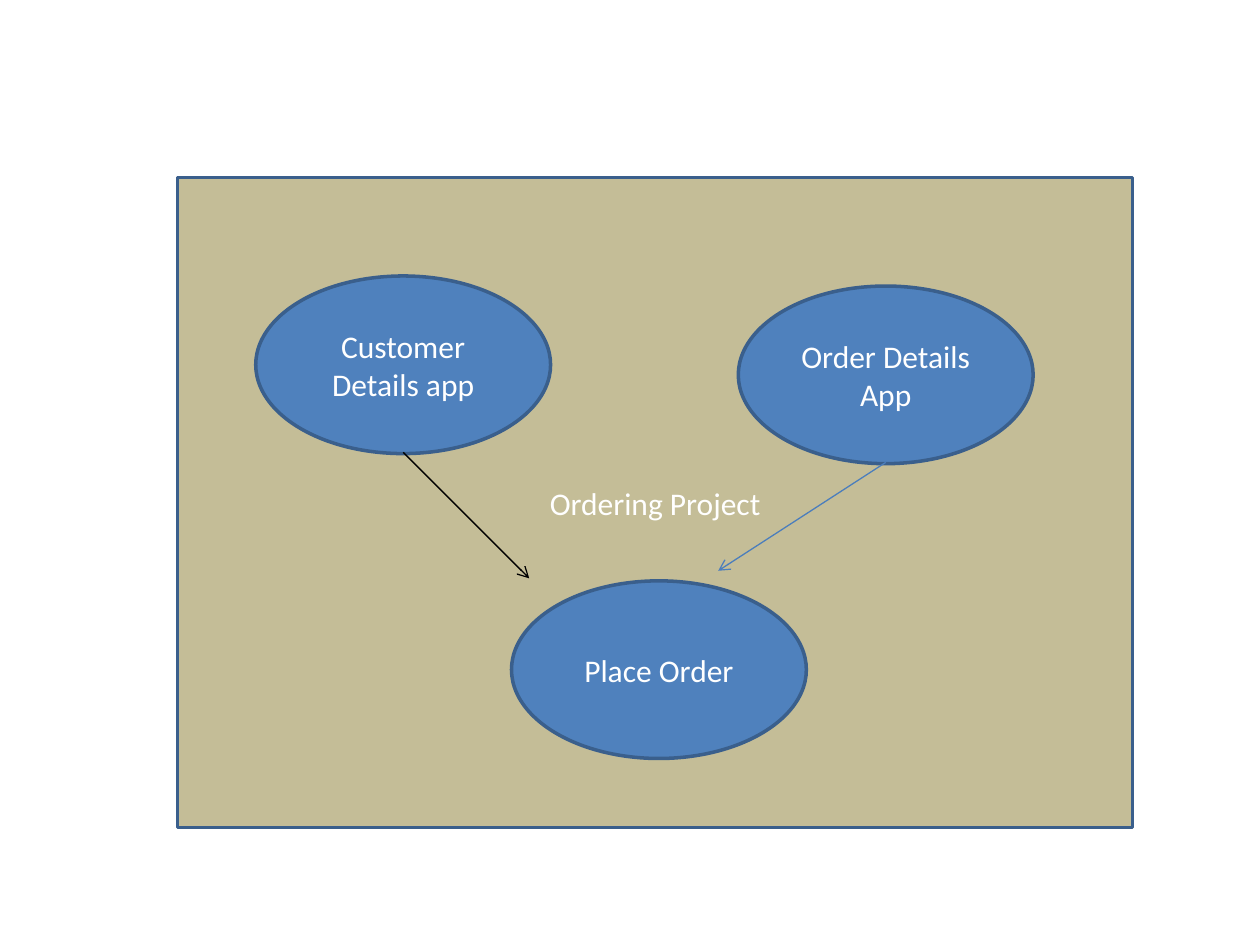
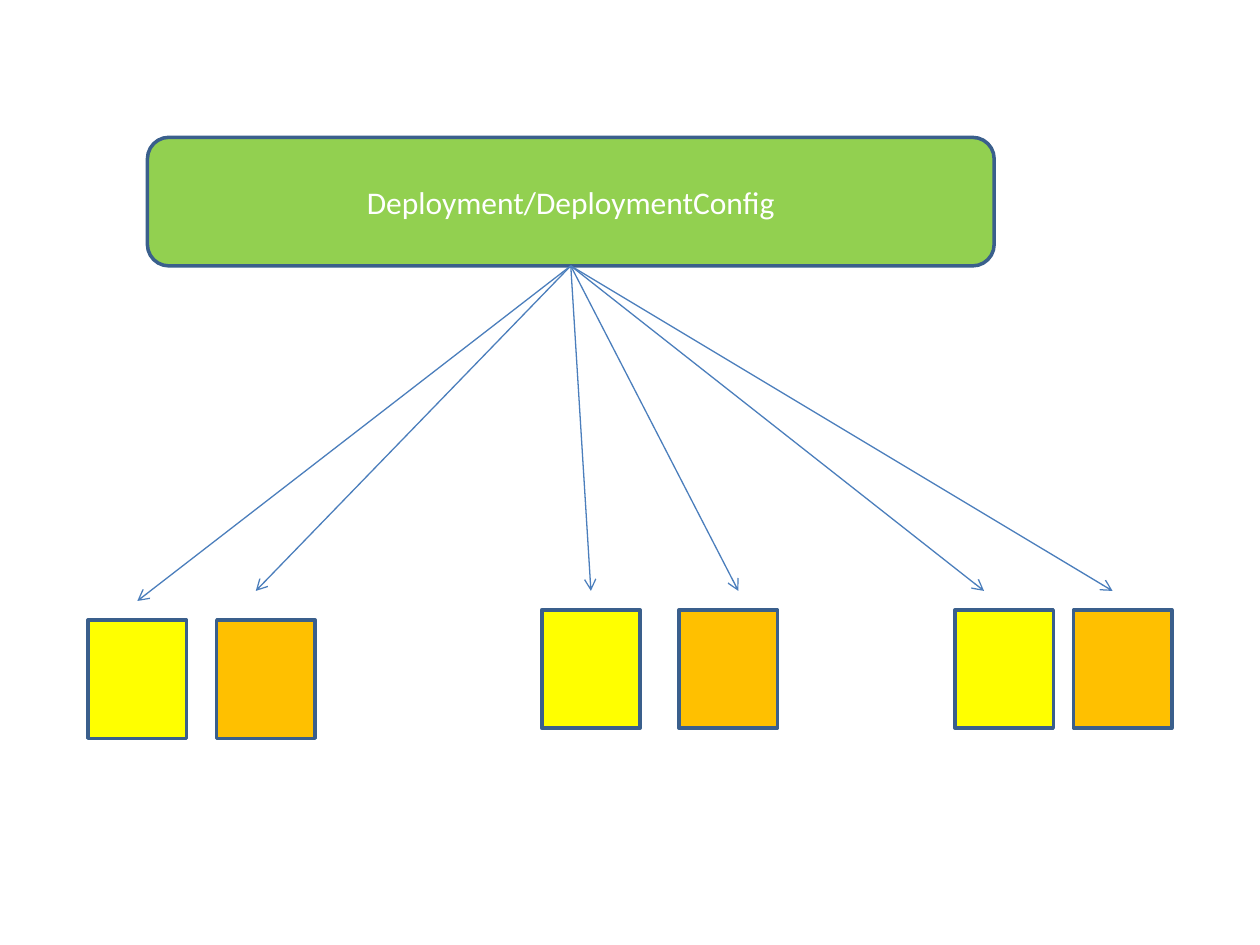
from lxml.etree import SubElement
from pptx import Presentation
from pptx.dml.color import RGBColor
from pptx.enum.shapes import MSO_CONNECTOR as Connector, MSO_SHAPE as Shape
from pptx.enum.text import MSO_ANCHOR as Anchor, PP_ALIGN as Align
from pptx.oxml.ns import qn
from pptx.util import Inches, Pt

COLORS = {
    "outline": "3A5F8C",
    "arrow": "4B7EBC",
    "black": "000000",
    "white": "FFFFFF",
    "project": "C4BD97",
    "app": "4F81BD",
    "deployment": "92D050",
    "yellow": "FFFF00",
    "orange": "FFC000",
}
FONT = "Calibri"
APP_SIZE = (2.34, 1.41)
POD_SIZE = (0.78, 0.94)


def color(name):
    return RGBColor.from_string(COLORS[name])


def write_text(box, text, size=18, font_color="white", align=Align.CENTER):
    frame = box.text_frame
    frame.word_wrap = True
    frame.vertical_anchor = Anchor.MIDDLE
    para = frame.paragraphs[0]
    para.alignment = align
    span = para.add_run()
    span.text = text
    span.font.name = FONT
    span.font.size = Pt(size)
    span.font.color.rgb = color(font_color)


def add_box(page, kind, position, size, fill, text=None):
    box = page.shapes.add_shape(kind, *map(Inches, position + size))
    box.shadow.inherit = False
    box.fill.solid()
    box.fill.fore_color.rgb = color(fill)
    box.line.color.rgb = color("outline")
    box.line.width = Pt(2)
    if text:
        write_text(box, text)
    return box


def add_arrow(page, start, end, line_color="arrow", source=None):
    arrow = page.shapes.add_connector(Connector.STRAIGHT, *map(Inches, start + end))
    if source is not None:
        arrow.begin_connect(source, 2)
    arrow.line.color.rgb = color(line_color)
    arrow.line.width = Pt(0.75)
    SubElement(arrow.line._get_or_add_ln(), qn("a:tailEnd"), type="arrow")
    SubElement(arrow._element.spPr, qn("a:effectLst"))


def build_project_page(page):
    add_box(page, Shape.RECTANGLE, (1.41, 1.41), (7.58, 5.16), "project", "Ordering Project")
    apps = [
        ("Customer Details app", (2.03, 2.19)),
        ("Order Details App", (5.86, 2.27)),
        ("Place Order", (4.06, 4.61)),
    ]
    for name, position in apps:
        add_box(page, Shape.OVAL, position, APP_SIZE, "app", name)
    add_arrow(page, (3.2, 3.59), (4.2, 4.59), "black")
    add_arrow(page, (7.03, 3.67), (5.7, 4.53))


def build_deployment_page(page):
    deployment = add_box(page, Shape.ROUNDED_RECTANGLE, (1.17, 1.09), (6.72, 1.02),
                         "deployment", "Deployment/DeploymentConfig")
    pods = [
        ("yellow", (0.7, 4.92), (1.09, 4.77)),
        ("yellow", (4.3, 4.84), (4.69, 4.69)),
        ("yellow", (7.58, 4.84), (7.81, 4.69)),
        ("orange", (1.72, 4.92), (2.03, 4.69)),
        ("orange", (5.39, 4.84), (5.86, 4.69)),
        ("orange", (8.52, 4.84), (8.83, 4.69)),
    ]
    for fill, position, _ in pods:
        add_box(page, Shape.RECTANGLE, position, POD_SIZE, fill)
    for _, _, tip in pods:
        add_arrow(page, (4.53, 2.11), tip, source=deployment)


def main():
    deck = Presentation()
    deck.slide_width = Inches(10)
    deck.slide_height = Inches(7.5)
    blank = deck.slide_layouts[6]
    for build in (build_project_page, build_deployment_page):
        build(deck.slides.add_slide(blank))
    deck.save("out.pptx")


if __name__ == "__main__":
    main()
